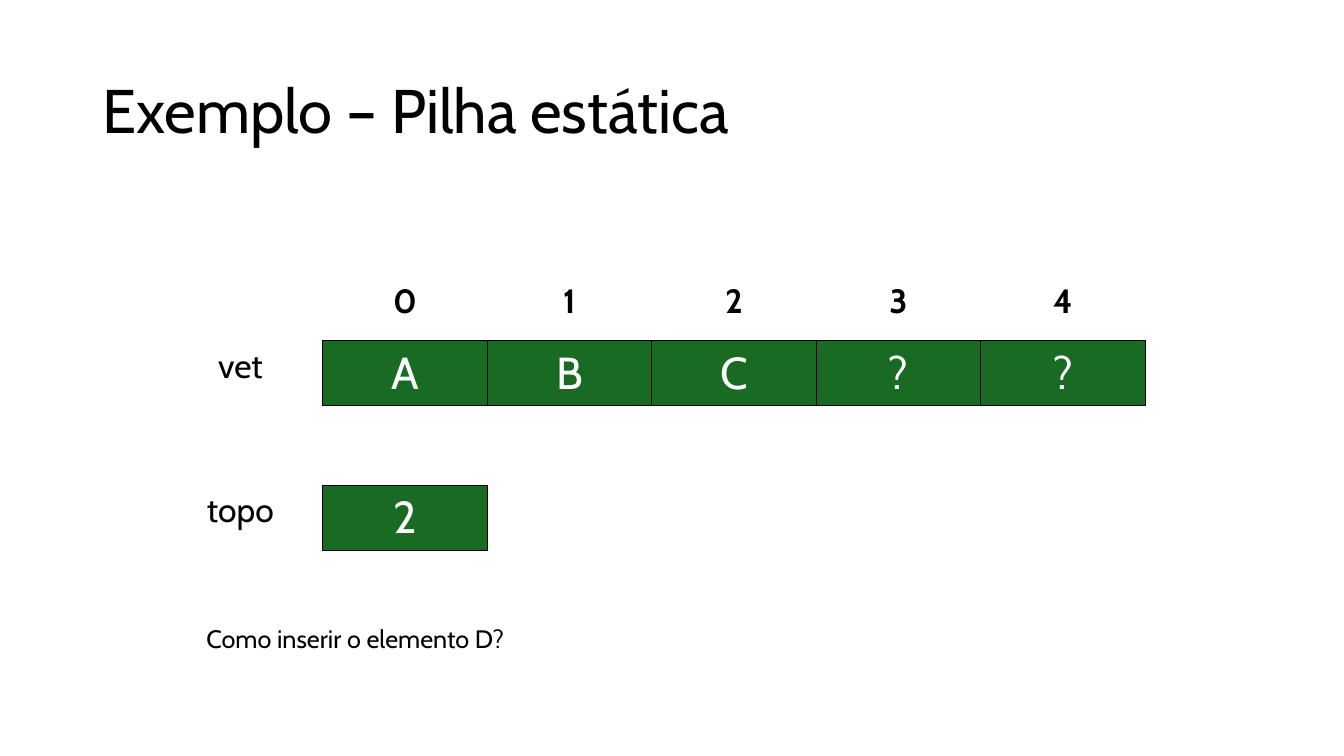
from lxml.etree import SubElement
from pptx import Presentation
from pptx.dml.color import RGBColor
from pptx.enum.text import MSO_ANCHOR, PP_ALIGN
from pptx.oxml.ns import qn
from pptx.util import Pt

# Content
TITLE = "Exemplo – Pilha estática"
QUESTION = "Como inserir o elemento D?"
STACK = [
    ["", "0", "1", "2", "3", "4"],
    ["vet", "A", "B", "C", "?", "?"],
]
TOP = [["topo", "2"]]

COLORS = {"ink": "000000", "paper": "FFFFFF", "green": "196B24"}
FONT = "Cabin"
COL, ROW = 117.5, 46.08
LEFT = 113


def color(name):
    return RGBColor.from_string(COLORS[name])


def style(para, size, tone="ink", bold=False):
    font = para.font
    font.name, font.size, font.bold = FONT, Pt(size), bold
    font.color.rgb = color(tone)


def add_text(slide, text, box, size, anchor=MSO_ANCHOR.TOP):
    frame = slide.shapes.add_textbox(*map(Pt, box)).text_frame
    frame.word_wrap = True
    frame.vertical_anchor = anchor
    para = frame.paragraphs[0]
    para.text = text
    style(para, size)
    return para


def add_edge(cell, side, width, shown):
    line = SubElement(cell._tc.get_or_add_tcPr(), qn("a:ln" + side))
    line.set("w", str(Pt(width)))
    if shown:
        fill = SubElement(line, qn("a:solidFill"))
        SubElement(fill, qn("a:srgbClr")).set("val", COLORS["ink"])
    else:
        SubElement(line, qn("a:noFill"))


def add_grid(slide, rows, top, width, inset=None):
    count, span = len(rows), len(rows[0])
    box = map(Pt, (LEFT, top, COL * span, ROW * count))
    table = slide.shapes.add_table(count, span, *box).table
    table.first_row = table.horz_banding = False
    for col in table.columns:
        col.width = Pt(COL)
    for r, row in enumerate(rows):
        table.rows[r].height = Pt(ROW)
        last = r == count - 1
        for c, text in enumerate(row):
            cell = table.cell(r, c)
            slot = last and c > 0
            if inset:
                cell.margin_left = cell.margin_right = Pt(inset[0])
                cell.margin_top = cell.margin_bottom = Pt(inset[1])
            # Slots are boxed; their neighbours share the touching edge
            edges = {"L": slot, "R": last, "T": slot, "B": c > 0}
            for side, shown in edges.items():
                add_edge(cell, side, width, shown)
            para = cell.text_frame.paragraphs[0]
            para.text = text
            para.alignment = PP_ALIGN.CENTER
            if slot:
                cell.fill.solid()
                cell.fill.fore_color.rgb = color("green")
                style(para, 32, "paper")
            else:
                cell.fill.background()
                style(para, 24, bold=not last)


def main():
    deck = Presentation()
    deck.slide_width, deck.slide_height = Pt(960), Pt(540)
    slide = deck.slides.add_slide(deck.slide_layouts[6])

    # Title
    head = add_text(slide, TITLE, (66, 28.75, 828, 104.4), 44, MSO_ANCHOR.MIDDLE)
    head.line_spacing = 0.9

    # Stack array and its top index
    add_grid(slide, STACK, 197.3, 1)
    add_grid(slide, TOP, 347, 0.75, (5, 2.9))

    # Question
    add_text(slide, QUESTION, (140.4, 441.4, 463, 29), 18)

    deck.save("out.pptx")


if __name__ == "__main__":
    main()
